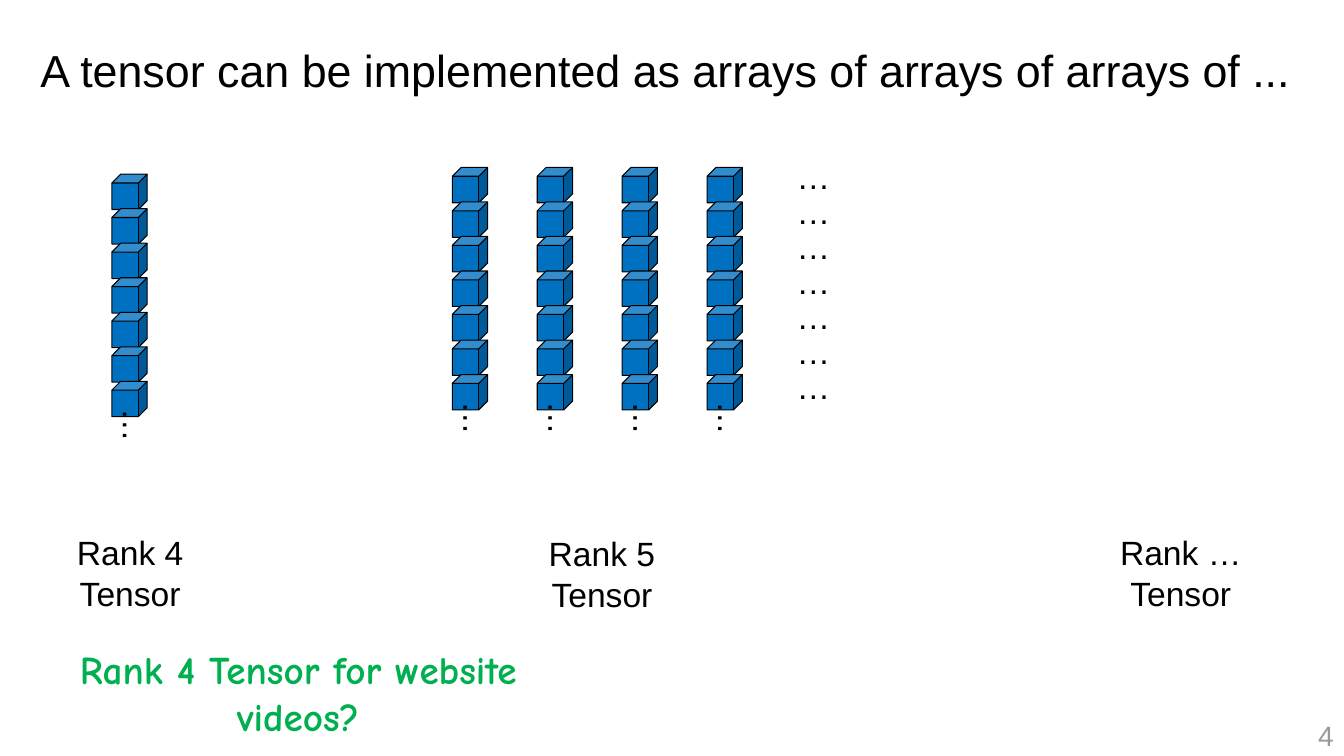
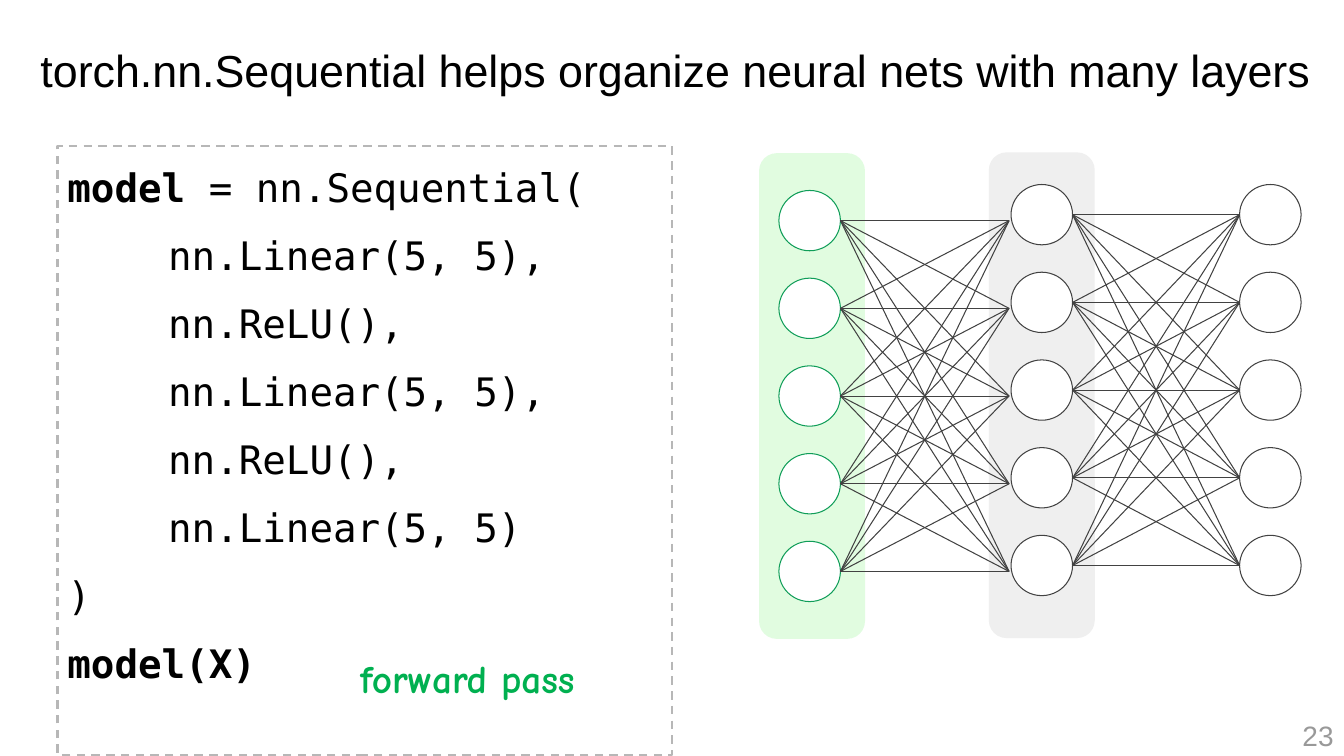
from itertools import product

from lxml import etree
from pptx import Presentation
from pptx.dml.color import RGBColor
from pptx.enum.dml import MSO_LINE
from pptx.enum.shapes import MSO_CONNECTOR, MSO_SHAPE
from pptx.enum.text import MSO_ANCHOR, PP_ALIGN
from pptx.oxml.ns import qn
from pptx.util import Cm, Pt

LEFT, CENTER, RIGHT = PP_ALIGN.LEFT, PP_ALIGN.CENTER, PP_ALIGN.RIGHT
TOP, MIDDLE = MSO_ANCHOR.TOP, MSO_ANCHOR.MIDDLE
CUBE, CIRCLE = MSO_SHAPE.CUBE, MSO_SHAPE.OVAL
ROUNDED, RECTANGLE = MSO_SHAPE.ROUNDED_RECTANGLE, MSO_SHAPE.RECTANGLE
STRAIGHT, DASH = MSO_CONNECTOR.STRAIGHT, MSO_LINE.DASH

BLACK = RGBColor(0x00, 0x00, 0x00)
WHITE = RGBColor(0xFF, 0xFF, 0xFF)
BLUE = RGBColor(0x00, 0x70, 0xC0)
NOTE_GREEN = RGBColor(0x00, 0xB0, 0x50)
INPUT_GREEN = RGBColor(0x0F, 0x9D, 0x58)
BAND_GREEN = RGBColor(0x09, 0xEA, 0x00)
BAND_GRAY = RGBColor(0xEF, 0xEF, 0xEF)
DARK_GRAY = RGBColor(0x42, 0x42, 0x42)
DASH_GRAY = RGBColor(0xB7, 0xB7, 0xB7)
PAGE_GRAY = RGBColor(0x99, 0x99, 0x99)

BODY_FONT, NOTE_FONT, CODE_FONT = "Arial", "Comic Neue", "DejaVu Sans Mono"
SLIDE_WIDTH, SLIDE_HEIGHT = 33.87, 19.05
DEFAULT_INSETS = (0.25, 0.13, 0.25, 0.13)
LABEL_INSETS = (0.33,) * 4
CODE_INSETS = (0.25,) * 4

CUBE_SIZE, CUBE_PITCH, CUBES_PER_COLUMN = 0.89, 0.87, 7
LABEL_WIDTH, LABEL_HEIGHT = 3.56, 2.79
NODE_WIDTH, NODE_HEIGHT, NODE_PITCH, NODES_PER_LAYER = 1.55, 1.52, 2.21, 5

CODE_LINES = [
    (0, [("model", True), (" = nn.Sequential(", False)]),
    (1, [("nn.Linear(5, 5),", False)]),
    (1, [("nn.ReLU(),", False)]),
    (1, [("nn.Linear(5, 5),", False)]),
    (1, [("nn.ReLU(),", False)]),
    (1, [("nn.Linear(5, 5)", False)]),
    (0, [(")", False)]),
    (0, [("model(X)", True)]),
]


def set_insets(frame, insets):
    frame.margin_left, frame.margin_top, frame.margin_right, frame.margin_bottom = map(Cm, insets)


class Deck:
    def __init__(self):
        self.presentation = Presentation()
        self.presentation.slide_width = Cm(SLIDE_WIDTH)
        self.presentation.slide_height = Cm(SLIDE_HEIGHT)
        self.slide = None

    def new_slide(self, title, page):
        self.slide = self.presentation.slides.add_slide(self.presentation.slide_layouts[6])
        self.text(title, 0, 0, SLIDE_WIDTH, 3.68, size=32, align=LEFT, anchor=MIDDLE,
                  insets=(1.02, 0.13, 0.25, 0.13), spacing=0.9)
        self.text(page, 26.24, 18.01, 7.62, 1.02, size=20, color=PAGE_GRAY, align=RIGHT,
                  anchor=MIDDLE)

    def text(self, content, left, top, width, height, size=24, color=BLACK, font=BODY_FONT,
             bold=False, align=CENTER, anchor=TOP, insets=DEFAULT_INSETS, spacing=1.0):
        box = self.slide.shapes.add_textbox(Cm(left), Cm(top), Cm(width), Cm(height))
        frame = box.text_frame
        frame.word_wrap = True
        frame.vertical_anchor = anchor
        set_insets(frame, insets)
        paragraph = frame.paragraphs[0]
        paragraph.text = content
        paragraph.alignment = align
        paragraph.line_spacing = spacing
        for run in paragraph.runs:
            self.style(run, size, color, font, bold)
        return box

    def style(self, run, size, color, font, bold):
        run.font.size = Pt(size)
        run.font.color.rgb = color
        run.font.name = font
        run.font.bold = bold

    def label(self, content, left, top, width=LABEL_WIDTH):
        return self.text(content, left, top, width, LABEL_HEIGHT, insets=LABEL_INSETS)

    def note(self, content, left, top, width, height, align=CENTER, spacing=1.0):
        self.text(content, left, top, width, height, size=28, color=NOTE_GREEN, font=NOTE_FONT,
                  bold=True, align=align, spacing=spacing)

    def shape(self, kind, left, top, width, height, fill=None, line=None, weight=0.75):
        shape = self.slide.shapes.add_shape(kind, Cm(left), Cm(top), Cm(width), Cm(height))
        shape.shadow.inherit = False
        if fill is None:
            shape.fill.background()
        else:
            shape.fill.solid()
            shape.fill.fore_color.rgb = fill
        if line is None:
            shape.line.fill.background()
        else:
            shape.line.color.rgb = line
            shape.line.width = Pt(weight)
        return shape

    def cube_column(self, left, top):
        for row in range(CUBES_PER_COLUMN):
            self.shape(CUBE, left, top + row * CUBE_PITCH, CUBE_SIZE, CUBE_SIZE, BLUE, BLACK)
        self.label("…", left - 1.72, top + 4.92).rotation = 90

    def band(self, left, top, fill, opacity=100):
        band = self.shape(ROUNDED, left, top, 2.67, 12.24, fill)
        if opacity < 100:
            color = band._element.spPr.find(qn("a:solidFill"))[0]
            etree.SubElement(color, qn("a:alpha")).set("val", str(opacity * 1000))

    def layer(self, left, top, outline):
        for row in range(NODES_PER_LAYER):
            self.shape(CIRCLE, left, top + row * NODE_PITCH, NODE_WIDTH, NODE_HEIGHT,
                       WHITE, outline)

    def connect_layers(self, left, right, top):
        centers = [top + NODE_HEIGHT / 2 + row * NODE_PITCH for row in range(NODES_PER_LAYER)]
        for start, end in product(centers, repeat=2):
            edge = self.slide.shapes.add_connector(STRAIGHT, Cm(left), Cm(start),
                                                   Cm(right), Cm(end))
            edge.line.color.rgb = DARK_GRAY
            edge.line.width = Pt(0.75)
            etree.SubElement(edge._element.spPr, qn("a:effectLst"))

    def code(self, lines, left, top, width, height):
        box = self.shape(RECTANGLE, left, top, width, height, line=DASH_GRAY, weight=1.5)
        box.line.dash_style = DASH
        frame = box.text_frame
        frame.word_wrap = True
        frame.vertical_anchor = TOP
        set_insets(frame, CODE_INSETS)
        for number, (level, pieces) in enumerate(lines):
            paragraph = frame.add_paragraph() if number else frame.paragraphs[0]
            paragraph.alignment = LEFT
            paragraph.line_spacing = 1.15
            if number:
                paragraph.space_before = Pt(10)
            paragraph._p.get_or_add_pPr().set("marL", str(Cm(2.54 * level)))
            for content, bold in pieces:
                run = paragraph.add_run()
                run.text = content
                self.style(run, 28, BLACK, CODE_FONT, bold)


def build_tensor_slide(deck):
    deck.new_slide("A tensor can be implemented as arrays of arrays of arrays of ...", "4")
    deck.cube_column(2.82, 4.39)
    for column in range(4):
        deck.cube_column(11.4 + column * 2.14, 4.22)
    for row in range(CUBES_PER_COLUMN):
        deck.label("…", 18.72, 3.61 + row * 0.88)
    deck.label("Rank 4\vTensor", 1.5, 13.08)
    deck.label("Rank 5\vTensor", 13.39, 13.11)
    deck.label("Rank …\vTensor", 27.53, 13.08, 4.45)
    deck.note("Rank 4 Tensor for website videos?", 1.04, 16.13, 12.95, 2.64)


def build_sequential_slide(deck):
    deck.new_slide("torch.nn.Sequential helps organize neural nets with many layers", "23")
    deck.band(19.13, 3.86, BAND_GREEN, opacity=12)
    deck.band(24.92, 3.84, BAND_GRAY)
    input_left, hidden_left, output_left = 19.63, 25.48, 31.24
    input_top, hidden_top = 4.8, 4.65
    deck.layer(hidden_left, hidden_top, DARK_GRAY)
    deck.layer(output_left, hidden_top, DARK_GRAY)
    deck.connect_layers(hidden_left + NODE_WIDTH, output_left, hidden_top)
    deck.layer(input_left, input_top, INPUT_GREEN)
    deck.connect_layers(input_left + NODE_WIDTH, hidden_left - 0.05, input_top)
    deck.code(CODE_LINES, 1.45, 3.68, 15.49, 15.34)
    deck.note("forward pass", 6.25, 16.18, 8.48, 1.55, align=RIGHT, spacing=1.15)


def main():
    deck = Deck()
    build_tensor_slide(deck)
    build_sequential_slide(deck)
    deck.presentation.save("out.pptx")


if __name__ == "__main__":
    main()
